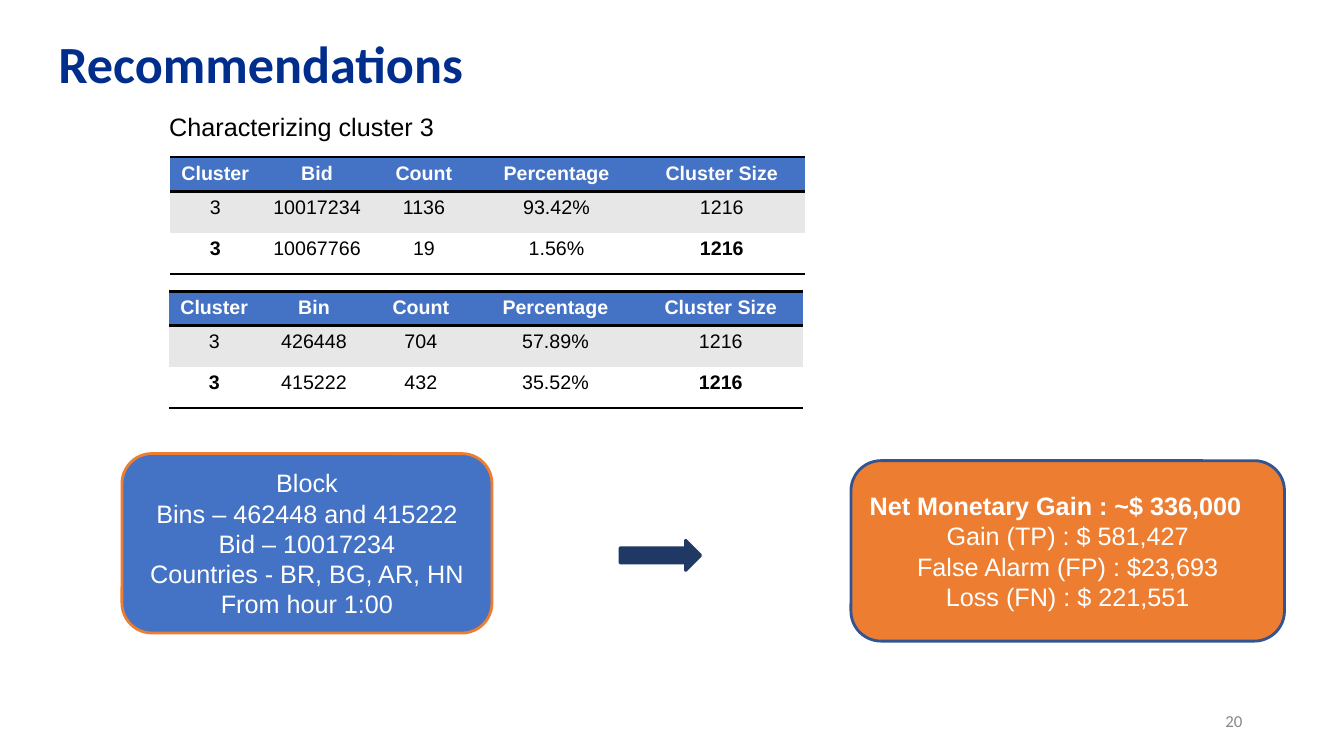
from lxml import etree
from pptx import Presentation
from pptx.dml.color import RGBColor
from pptx.enum.shapes import MSO_SHAPE as Shape
from pptx.enum.text import MSO_ANCHOR as Anchor, PP_ALIGN as Align
from pptx.oxml.ns import qn
from pptx.util import Inches, Pt

BLUE, ORANGE, NAVY = "4472C4", "ED7D31", "203864"
WHITE, BLACK, BAND = "FFFFFF", "000000", "E7E7E7"
NO_GRID_STYLE = "{2D5ABB26-0587-4C30-8999-92F81FD0307C}"
ROW_HEIGHTS = (0.34, 0.41, 0.41)


def rgb(hex_code):
    return RGBColor.from_string(hex_code)


def style(paragraph, size, color, bold=False, align=Align.CENTER, font="Arial"):
    paragraph.alignment = align
    for run in paragraph.runs:
        run.font.name = font
        run.font.size = Pt(size)
        run.font.bold = bold
        run.font.color.rgb = rgb(color)


def add_label(slide, box, text, size, color, anchor=Anchor.TOP, **look):
    frame = slide.shapes.add_textbox(*map(Inches, box)).text_frame
    frame.word_wrap = True
    frame.vertical_anchor = anchor
    frame.text = text
    style(frame.paragraphs[0], size, color, **look)


def add_block(slide, box, preset, fill, outline):
    block = slide.shapes.add_shape(preset, *map(Inches, box))
    block.shadow.inherit = False
    block.fill.solid()
    block.fill.fore_color.rgb = rgb(fill)
    block.line.color.rgb = rgb(outline)
    block.line.width = Pt(2)
    return block


def add_callout(slide, box, fill, outline, lines):
    frame = add_block(slide, box, Shape.ROUNDED_RECTANGLE, fill, outline).text_frame
    frame.word_wrap = True
    frame.vertical_anchor = Anchor.MIDDLE
    frame.text = "\n".join(lines)
    for paragraph in frame.paragraphs:
        style(paragraph, 18, WHITE)
    return frame


def rule_cell(cell, sides):
    """Draw black rules on the given sides: T for top, B for bottom."""
    properties = cell._tc.get_or_add_tcPr()
    for position, side in enumerate(sides):
        rule = etree.Element(qn(f"a:ln{side}"), w=str(Pt(2)))
        fill = etree.SubElement(rule, qn("a:solidFill"))
        etree.SubElement(fill, qn("a:srgbClr"), val=BLACK)
        properties.insert(position, rule)


def add_cluster_table(slide, left, top, widths, rows):
    table = slide.shapes.add_table(
        len(rows), len(widths), Inches(left), Inches(top),
        Inches(sum(widths)), Inches(sum(ROW_HEIGHTS))).table
    table._tbl.tblPr.find(qn("a:tableStyleId")).text = NO_GRID_STYLE
    for column, width in zip(table.columns, widths):
        column.width = Inches(width)
    row_looks = ((BLUE, WHITE, "TB"), (BAND, BLACK, ""), (WHITE, BLACK, "B"))
    for r, (values, height, look) in enumerate(zip(rows, ROW_HEIGHTS, row_looks)):
        fill, color, rules = look
        table.rows[r].height = Inches(height)
        for c, value in enumerate(values):
            cell = table.cell(r, c)
            cell.text = value
            cell.fill.solid()
            cell.fill.fore_color.rgb = rgb(fill)
            edge_of_last_row = r == len(rows) - 1 and c in (0, len(widths) - 1)
            style(cell.text_frame.paragraphs[0], 14, color, r == 0 or edge_of_last_row)
            rule_cell(cell, rules)


def add_heading(slide):
    add_label(slide, (0.48, 0.26, 12.2, 0.73), "Recommendations", 37.3, "012E8C",
              bold=True, align=Align.LEFT, font="Calibri")
    add_label(slide, (1.58, 1.06, 3, 0.4), "Characterizing cluster 3", 18, BLACK,
              align=Align.LEFT)


def add_cluster_profile(slide):
    add_cluster_table(slide, 1.69, 1.56, (0.89, 1.13, 0.99, 1.64, 1.64), (
        ("Cluster", "Bid", "Count", "Percentage", "Cluster Size"),
        ("3", "10017234", "1136", "93.42%", "1216"),
        ("3", "10067766", "19", "1.56%", "1216")))
    add_cluster_table(slide, 1.68, 2.89, (0.89, 1.09, 1.03, 1.64, 1.64), (
        ("Cluster", "Bin", "Count", "Percentage", "Cluster Size"),
        ("3", "426448", "704", "57.89%", "1216"),
        ("3", "415222", "432", "35.52%", "1216")))


def add_recommendation(slide):
    add_callout(slide, (1.21, 4.5, 3.67, 1.78), BLUE, ORANGE, (
        "Block", "Bins – 462448 and 415222", "Bid – 10017234",
        "Countries - BR, BG, AR, HN", "From hour 1:00"))
    add_block(slide, (6.15, 5.36, 0.8, 0.3), Shape.RIGHT_ARROW, NAVY, NAVY)
    gain = add_callout(slide, (8.44, 4.57, 4.3, 1.79), ORANGE, "325491", (
        "Net Monetary Gain : ~$ 336,000", "Gain (TP) : $ 581,427",
        "False Alarm (FP) : $23,693", "Loss (FN) : $ 221,551"))
    style(gain.paragraphs[0], 18, WHITE, bold=True, align=Align.LEFT)


def main():
    deck = Presentation()
    deck.slide_width, deck.slide_height = Inches(13.33), Inches(7.5)
    slide = deck.slides.add_slide(deck.slide_layouts[6])
    add_heading(slide)
    add_cluster_profile(slide)
    add_recommendation(slide)
    add_label(slide, (9.42, 6.95, 3, 0.4), "20", 12, "888888", Anchor.MIDDLE,
              align=Align.RIGHT, font="Calibri")
    deck.save("out.pptx")


if __name__ == "__main__":
    main()
